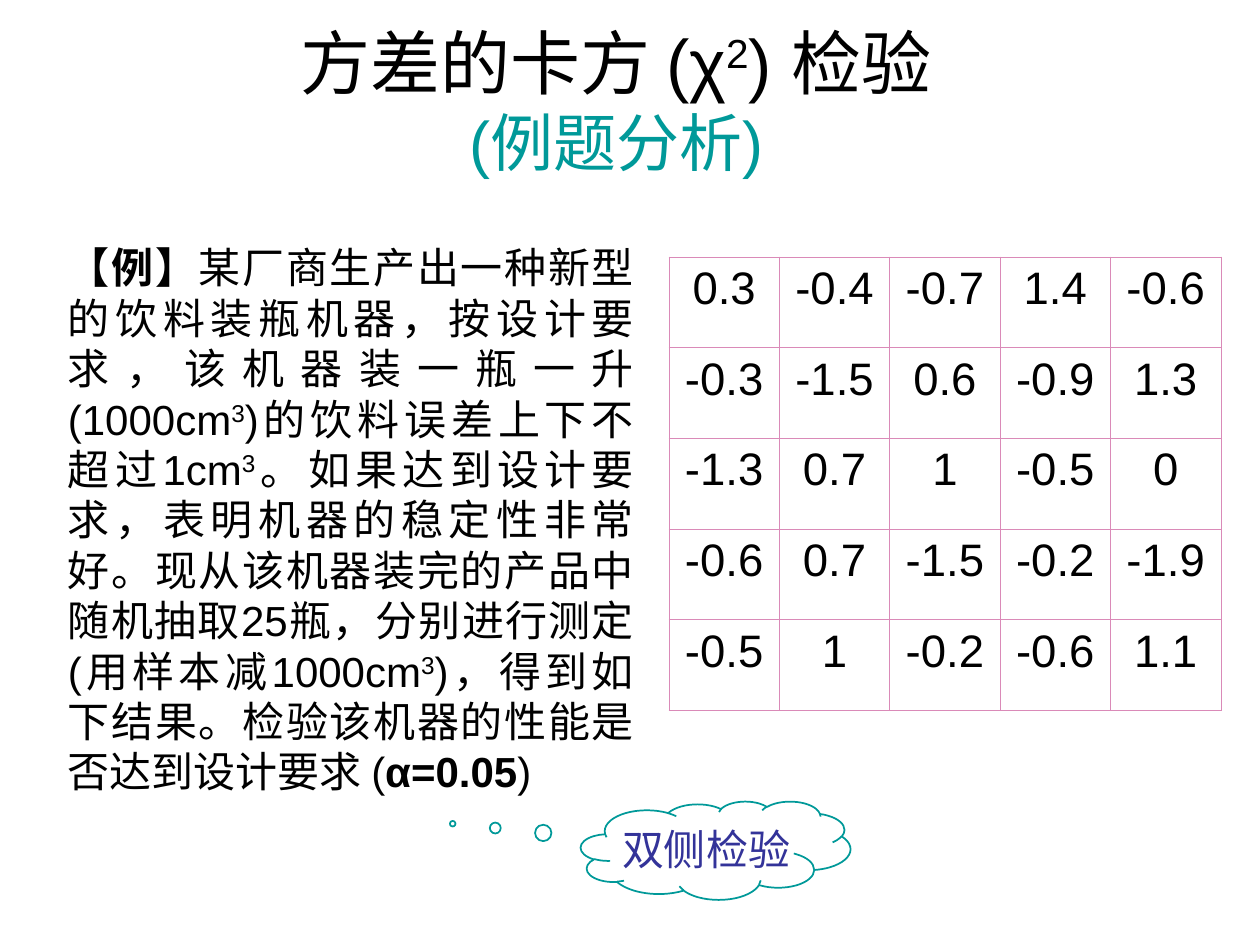
from lxml.etree import SubElement
from pptx import Presentation
from pptx.dml.color import RGBColor
from pptx.enum.shapes import MSO_SHAPE
from pptx.enum.text import MSO_ANCHOR, PP_ALIGN
from pptx.oxml.ns import qn
from pptx.util import Inches, Pt

BLACK = RGBColor(0x00, 0x00, 0x00)
TEAL = RGBColor(0x00, 0x99, 0x99)
INDIGO = RGBColor(0x33, 0x33, 0x99)
PINK = RGBColor(0xDA, 0x8A, 0xB8)
FONT = "Arial"

SAMPLES = [
    ["0.3", "-0.4", "-0.7", "1.4", "-0.6"],
    ["-0.3", "-1.5", "0.6", "-0.9", "1.3"],
    ["-1.3", "0.7", "1", "-0.5", "0"],
    ["-0.6", "0.7", "-1.5", "-0.2", "-1.9"],
    ["-0.5", "1", "-0.2", "-0.6", "1.1"],
]
PROBLEM = [
    ("【例】", "bold"),
    ("某厂商生产出一种新型的饮料装瓶机器，按设计要求，该机器装一瓶一升(1000cm", ""),
    ("3", "super"),
    (")的饮料误差上下不超过1cm", ""),
    ("3", "super"),
    ("。如果达到设计要求，表明机器的稳定性非常好。"
     "现从该机器装完的产品中随机抽取25瓶，分别进行测定(用样本减1000cm", ""),
    ("3", "super"),
    (")，得到如下结果。检验该机器的性能是否达到设计要求 (", ""),
    ("α=0.05", "bold"),
    (")", ""),
]


def style_paragraph(p, size, color=BLACK, align=PP_ALIGN.CENTER):
    p.alignment = align
    p._p.get_or_add_pPr().set("hangingPunct", "0")
    p.font.name = FONT
    p.font.size = Pt(size)
    p.font.color.rgb = color


def add_run(p, text, style=""):
    r = p.add_run()
    r.text = text
    if style == "bold":
        r.font.bold = True
    elif style == "super":
        r._r.get_or_add_rPr().set("baseline", "30000")
    return r


def add_text_box(s, left, top, width, height, anchor=MSO_ANCHOR.TOP):
    box = s.shapes.add_textbox(Inches(left), Inches(top), Inches(width), Inches(height))
    tf = box.text_frame
    tf.word_wrap = True
    tf.vertical_anchor = anchor
    return tf.paragraphs[0]


def add_title(s):
    p = add_text_box(s, 0.91, 0.16, 7.96, 1.25, MSO_ANCHOR.MIDDLE)
    style_paragraph(p, 40)
    add_run(p, "方差的卡方 (χ")
    add_run(p, "2", "super")
    add_run(p, ") 检验")
    p.add_line_break()
    r = add_run(p, "(例题分析)")
    r.font.size = Pt(36)
    r.font.color.rgb = TEAL


def add_problem(s):
    p = add_text_box(s, 0.44, 1.87, 4.69, 4.79)
    style_paragraph(p, 24, align=PP_ALIGN.JUSTIFY)
    for text, style in PROBLEM:
        add_run(p, text, style)


def add_borders(cell, color, width):
    tcPr = cell._tc.get_or_add_tcPr()
    for side in ("a:lnL", "a:lnR", "a:lnT", "a:lnB"):
        ln = SubElement(tcPr, qn(side), w=str(Pt(width)))
        fill = SubElement(ln, qn("a:solidFill"))
        SubElement(fill, qn("a:srgbClr"), val=str(color))


def add_sample_table(s, left, top, width, height):
    frame = s.shapes.add_table(len(SAMPLES), len(SAMPLES[0]), Inches(left),
                               Inches(top), Inches(width), Inches(height))
    table = frame.table
    table.first_row = table.horz_banding = False
    for i, row in enumerate(SAMPLES):
        for j, value in enumerate(row):
            cell = table.cell(i, j)
            add_borders(cell, PINK, 0.45)
            cell.fill.background()
            p = cell.text_frame.paragraphs[0]
            style_paragraph(p, 26)
            add_run(p, value)


def add_thought(s, text, left, top, width, height):
    sp = s.shapes.add_shape(MSO_SHAPE.CLOUD_CALLOUT, Inches(left), Inches(top),
                            Inches(width), Inches(height))
    sp.adjustments[0] = -0.975
    sp.adjustments[1] = -0.272
    sp.shadow.inherit = False
    sp.fill.background()
    sp.line.color.rgb = TEAL
    sp.line.width = Pt(1)
    tf = sp.text_frame
    tf.word_wrap = False
    tf.vertical_anchor = MSO_ANCHOR.MIDDLE
    p = tf.paragraphs[0]
    style_paragraph(p, 24, INDIGO)
    r = add_run(p, text)
    r.font.color.rgb = INDIGO


def main():
    prs = Presentation()
    prs.slide_width = Inches(10)
    prs.slide_height = Inches(7.5)
    s = prs.slides.add_slide(prs.slide_layouts[6])
    add_title(s)
    add_problem(s)
    add_sample_table(s, 5.31, 2.04, 4.38, 3.6)
    add_thought(s, "双侧检验", 4.61, 6.36, 2.14, 0.78)
    prs.save("out.pptx")


if __name__ == "__main__":
    main()
